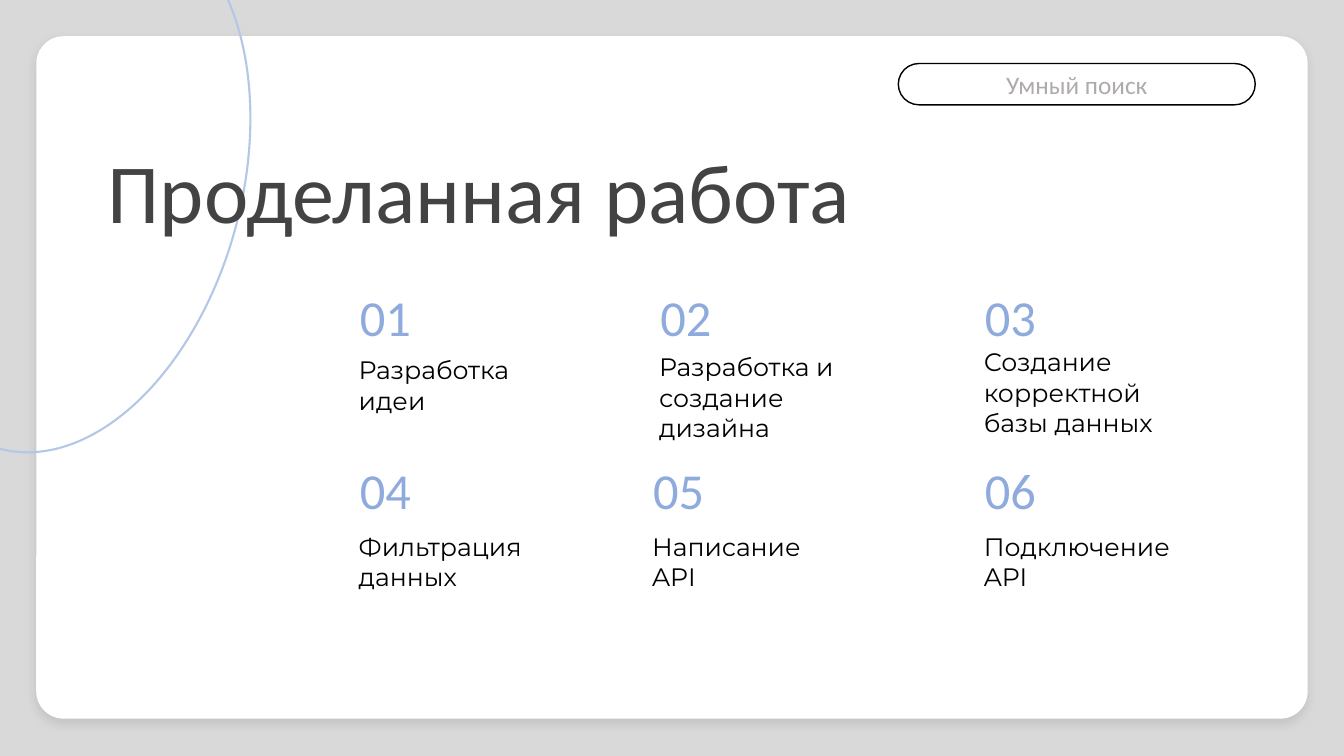
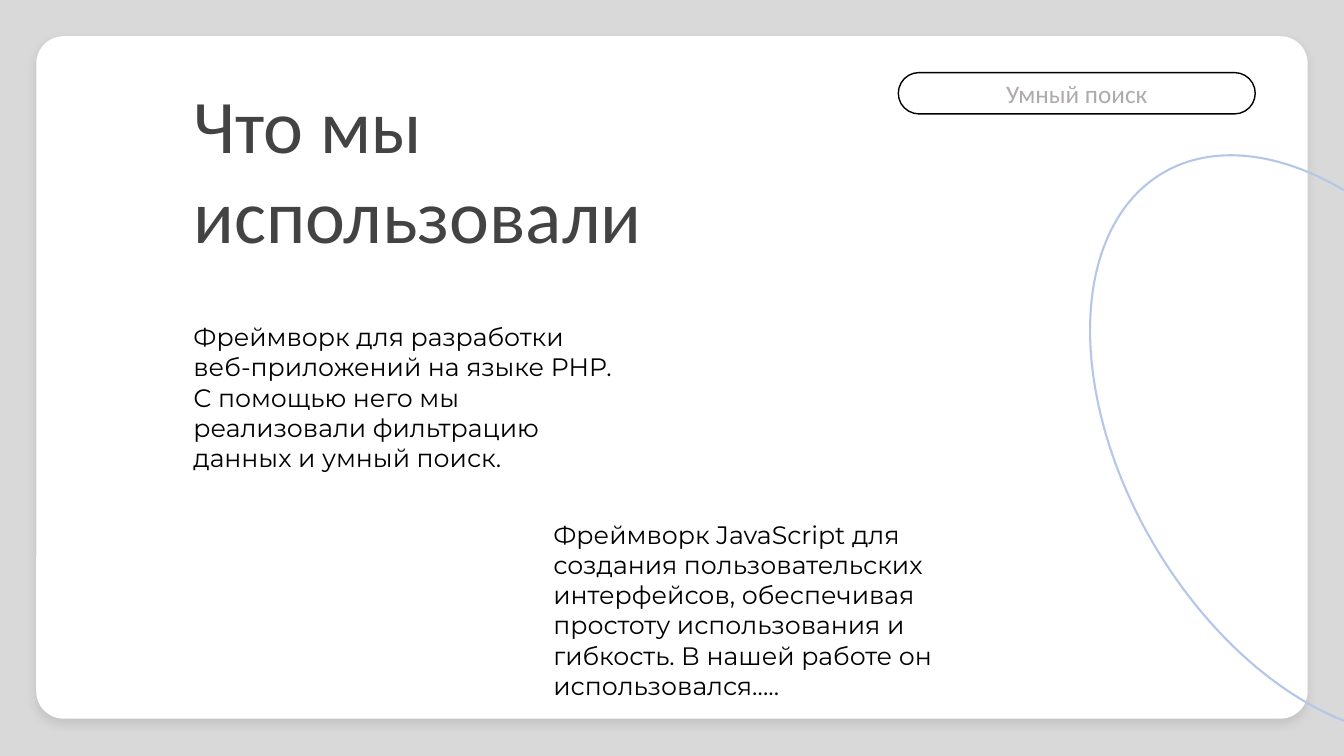
import pptx
import pptx.dml.color
import pptx.enum.shapes
import pptx.enum.text
import pptx.oxml
import pptx.oxml.ns
import pptx.util

Inches = pptx.util.Inches
SHAPES = pptx.enum.shapes.MSO_SHAPE
ALIGN = pptx.enum.text.PP_ALIGN
ANCHOR = pptx.enum.text.MSO_ANCHOR

BACKGROUND = "D9D9D9"
WHITE = "FFFFFF"
BLACK = "000000"
TITLE_COLOR = "434343"
MUTED = "AFABAB"
NUMBER_COLOR = "8FAADC"
ARC_COLOR = "B4C7E7"
HEADING_FONT = "Calibri"
BODY_FONT = "Montserrat"

STEP_COLUMNS = (3.47, 6.45, 9.67)
STEP_ROWS = (2.79, 4.51)
# Label, shift of the step from its column, drop from number to label
STEPS = (
    ("Разработка идеи", 0, 0.68),
    ("Разработка и создание дизайна", 0, 0.65),
    ("Создание корректной базы данных", 0, 0.6),
    ("Фильтрация данных", 0, 0.71),
    ("Написание API", -0.07, 0.71),
    ("Подключение API", 0, 0.71),
)


def rgb(color):
    return pptx.dml.color.RGBColor.from_string(color)


def write(shape, text, size=18, font=BODY_FONT, color=BLACK,
          align=ALIGN.LEFT, anchor=ANCHOR.TOP):
    """Put one formatted paragraph into a shape."""
    frame = shape.text_frame
    frame.word_wrap = True
    frame.vertical_anchor = anchor
    paragraph = frame.paragraphs[0]
    paragraph.alignment = align
    run = paragraph.add_run()
    run.text = text
    run.font.size = pptx.util.Pt(size)
    run.font.name = font
    run.font.color.rgb = rgb(color)


def add_text(slide, box, text, **text_format):
    shape = slide.shapes.add_textbox(*map(Inches, box))
    write(shape, text, **text_format)
    shape.text_frame.auto_size = pptx.enum.text.MSO_AUTO_SIZE.SHAPE_TO_FIT_TEXT


def add_title(slide, box, text, size):
    add_text(slide, box, text, size=size, font=HEADING_FONT, color=TITLE_COLOR)


def add_shape(slide, kind, box, adjustments, fill=None, line=None, width=1):
    shape = slide.shapes.add_shape(kind, *map(Inches, box))
    shape.shadow.inherit = False
    for index, value in enumerate(adjustments):
        shape.adjustments[index] = value
    if fill:
        shape.fill.solid()
        shape.fill.fore_color.rgb = rgb(fill)
    else:
        shape.fill.background()
    if line:
        shape.line.color.rgb = rgb(line)
        shape.line.width = pptx.util.Pt(width)
    else:
        shape.line.fill.background()
    return shape


def add_soft_shadow(shape, blur, distance, opacity):
    """Cast a black shadow straight down; blur and distance in points, opacity in percent."""
    effects = shape.element.spPr.find(pptx.oxml.ns.qn("a:effectLst"))
    effects.append(pptx.oxml.parse_xml(
        f'<a:outerShdw {pptx.oxml.ns.nsdecls("a")} blurRad="{pptx.util.Pt(blur)}" '
        f'dist="{pptx.util.Pt(distance)}" dir="5400000" algn="t" rotWithShape="0">'
        f'<a:srgbClr val="{BLACK}"><a:alpha val="{opacity * 1000}"/></a:srgbClr>'
        '</a:outerShdw>'))


def add_arc(slide, box, rotation, start):
    arc = add_shape(slide, SHAPES.ARC, box, (start, 0.505), line=ARC_COLOR, width=1.5)
    arc.rotation = rotation


def add_base_slide(presentation, badge_top):
    """Add a slide with the grey ground, the white card and the project badge."""
    slide = presentation.slides.add_slide(presentation.slide_layouts[6])
    slide.background.fill.solid()
    slide.background.fill.fore_color.rgb = rgb(BACKGROUND)
    card = add_shape(slide, SHAPES.ROUNDED_RECTANGLE, (0.36, 0.36, 12.61, 6.77),
                     (0.04,), fill=WHITE)
    add_soft_shadow(card, blur=7, distance=4, opacity=10)
    badge = add_shape(slide, SHAPES.ROUNDED_RECTANGLE, (8.91, badge_top, 3.54, 0.41),
                      (0.5,), fill=WHITE, line=BLACK)
    write(badge, "Умный поиск", font=HEADING_FONT, color=MUTED,
          align=ALIGN.CENTER, anchor=ANCHOR.MIDDLE)
    return slide


def add_step(slide, left, top, number, label, drop):
    add_text(slide, (left, top, 0.91, 0.71), f"{number:02}",
             size=36, font=HEADING_FONT, color=NUMBER_COLOR)
    add_text(slide, (left - 0.01, top + drop, 2.16, 0.71), label)


def add_work_slide(presentation):
    slide = add_base_slide(presentation, badge_top=0.63)
    add_arc(slide, (-2.03, 0.12, 5.46, 3.39), rotation=105, start=83.209)
    add_title(slide, (0.97, 1.33, 7.81, 1.11), "Проделанная работа", size=60)
    for index, (label, shift, drop) in enumerate(STEPS):
        row, column = divmod(index, len(STEP_COLUMNS))
        add_step(slide, STEP_COLUMNS[column] + shift, STEP_ROWS[row],
                 index + 1, label, drop)


def add_tools_slide(presentation):
    slide = add_base_slide(presentation, badge_top=0.72)
    add_arc(slide, (11.18, 1.28, 3.9, 6.28), rotation=329.4, start=30.781)
    add_title(slide, (1.82, 0.72, 5.33, 1.92), "Что мы использовали", size=54)
    add_text(slide, (1.82, 3.14, 4.43, 1.62),
             "Фреймворк для разработки веб-приложений на языке PHP. "
             "С помощью него мы реализовали фильтрацию данных и умный поиск.")
    add_text(slide, (5.39, 5.1, 4.43, 1.92),
             "Фреймворк JavaScript для создания пользовательских интерфейсов, "
             "обеспечивая простоту использования и гибкость. "
             "В нашей работе он использовался…..")


def main():
    presentation = pptx.Presentation()
    presentation.slide_width = Inches(13.33)
    presentation.slide_height = Inches(7.5)
    add_work_slide(presentation)
    add_tools_slide(presentation)
    presentation.save("out.pptx")


if __name__ == "__main__":
    main()
